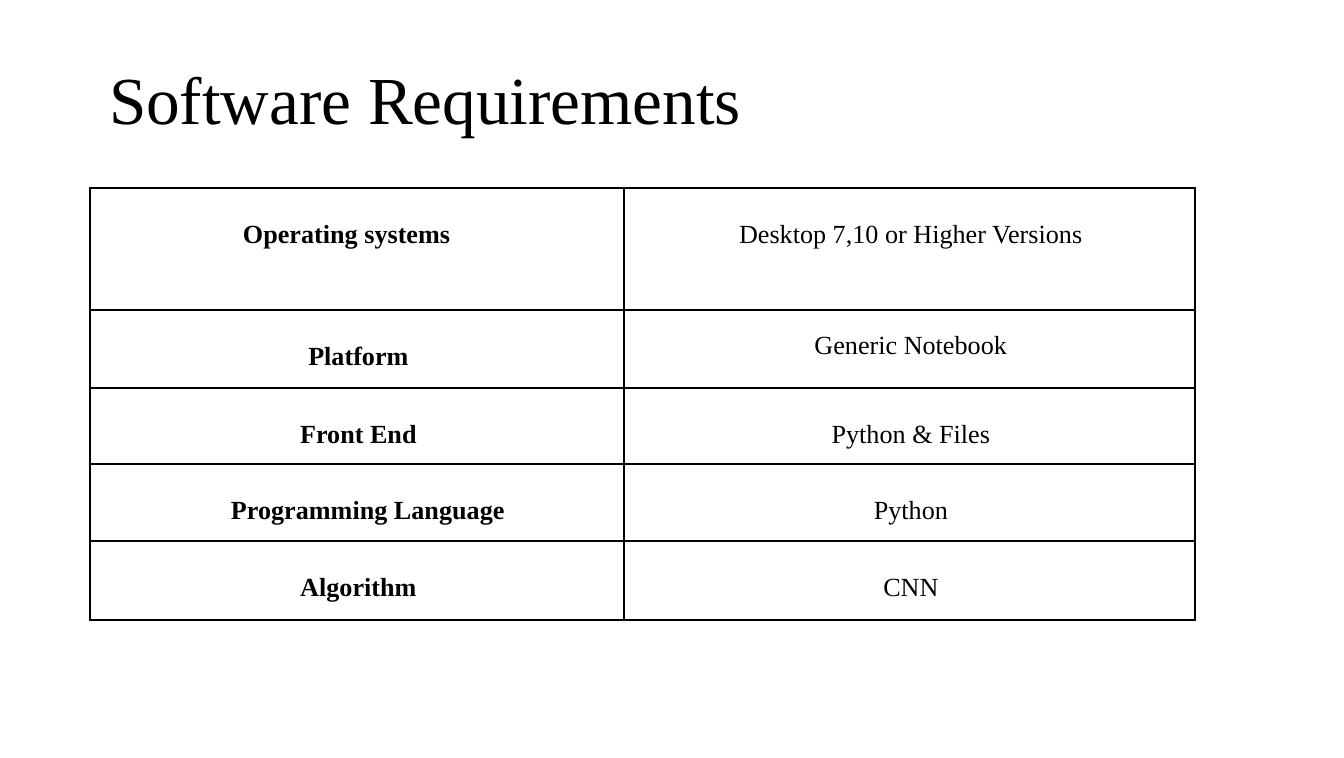
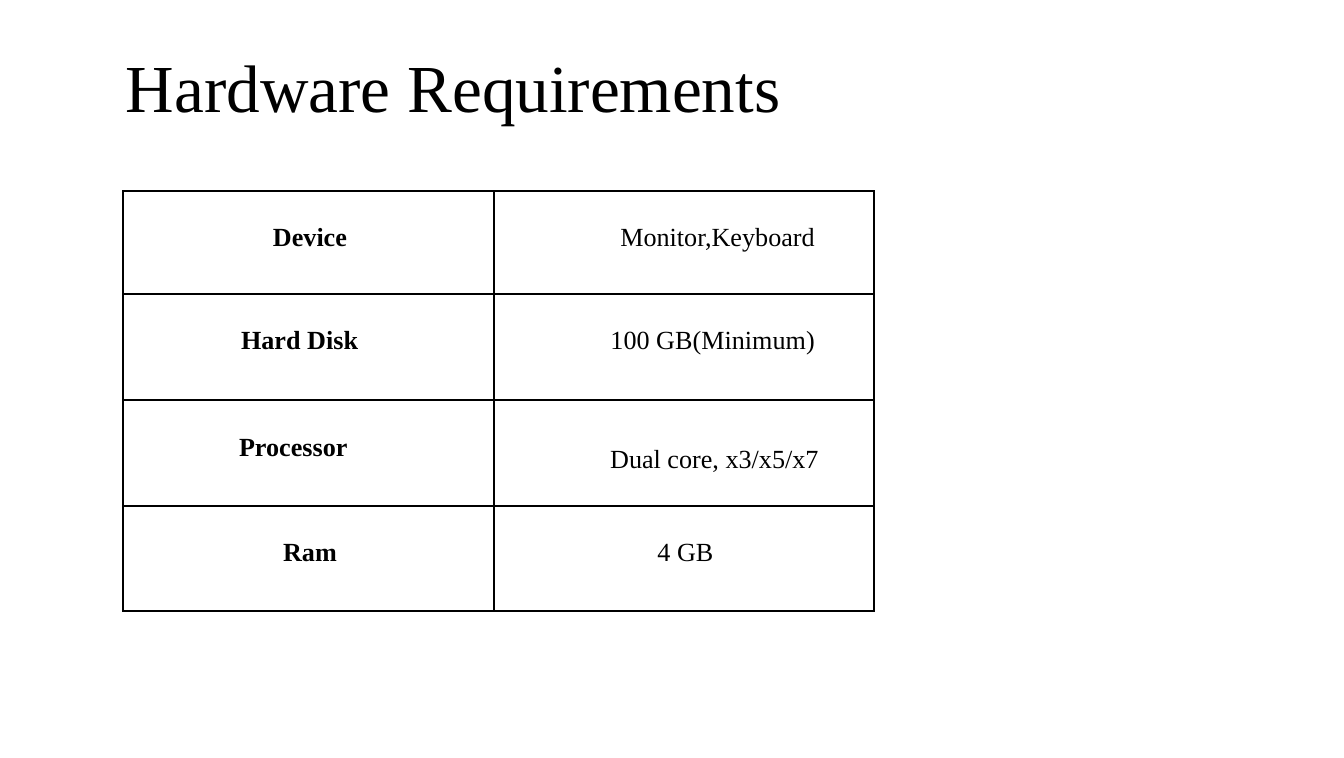
from dataclasses import dataclass

from lxml import etree
from pptx import Presentation
from pptx.dml.color import RGBColor
from pptx.enum.text import MSO_ANCHOR, MSO_AUTO_SIZE, PP_ALIGN
from pptx.oxml.ns import qn
from pptx.util import Pt

LEFT, CENTER, RIGHT = PP_ALIGN.LEFT, PP_ALIGN.CENTER, PP_ALIGN.RIGHT
MIDDLE, TOP = MSO_ANCHOR.MIDDLE, MSO_ANCHOR.TOP
NO_AUTOFIT = MSO_AUTO_SIZE.NONE

# Shared look
EMU_PER_PX = 914400 / 134.4
SLIDE_WIDTH, SLIDE_HEIGHT = 1344, 758
TITLE_ONLY_LAYOUT = 5
FONT = "Times New Roman"
TITLE_SIZE, CELL_SIZE, LINE_SPACING = 36, 14, 16.2
BORDER, THIN_BORDER = 1, 0.75
COLORS = {"text": "000000", "border": "000000", "cell": "FFFFFF"}


@dataclass
class Entry:
    """Text of one table cell; insets in px, thin lists the finer sides."""
    text: str
    align: int = CENTER
    left: int = 3
    top: int = 31
    right: int = 0
    thin: str = ""


SOFTWARE_ROWS = [
    (Entry("Operating systems", LEFT, left=153, thin="R"),
     Entry("Desktop 7,10 or Higher Versions", thin="L")),
    (Entry("Platform"), Entry("Generic Notebook", top=20)),
    (Entry("Front End"), Entry("Python & Files")),
    (Entry("Programming Language", LEFT, left=141), Entry("Python")),
    (Entry("Algorithm"), Entry("CNN")),
]

HARDWARE_ROWS = [
    (Entry("Device"), Entry("Monitor,Keyboard", RIGHT, right=59)),
    (Entry("Hard Disk", LEFT, left=118),
     Entry("100 GB(Minimum)", RIGHT, right=59, thin="B")),
    (Entry("Processor", LEFT, left=116, top=32),
     Entry("Dual core, x3/x5/x7", RIGHT, top=44, right=55, thin="T")),
    (Entry("Ram"), Entry("4 GB")),
]


def px(length):
    return round(length * EMU_PER_PX)


def color(name):
    return RGBColor.from_string(COLORS[name])


def style_paragraph(paragraph, size, align, bold=False):
    paragraph.alignment = align
    paragraph.font.name = FONT
    paragraph.font.size = Pt(size)
    paragraph.font.bold = bold
    paragraph.font.color.rgb = color("text")


def add_title(slide, text, left, top, width, height):
    title = slide.shapes.title
    title.left, title.top = px(left), px(top)
    title.width, title.height = px(width), px(height)
    frame = title.text_frame
    frame.text = text
    frame.auto_size = NO_AUTOFIT
    frame.word_wrap = True
    frame.vertical_anchor = MIDDLE
    frame.margin_left = frame.margin_top = px(1)
    frame.margin_right = frame.margin_bottom = 0
    style_paragraph(frame.paragraphs[0], TITLE_SIZE, LEFT)


def add_borders(cell, thin_sides):
    properties = cell._tc.get_or_add_tcPr()
    for side in "LRTB":
        width = Pt(THIN_BORDER if side in thin_sides else BORDER)
        line = etree.SubElement(properties, qn(f"a:ln{side}"), w=str(width))
        fill = etree.SubElement(line, qn("a:solidFill"))
        etree.SubElement(fill, qn("a:srgbClr"), val=COLORS["border"])


def fill_cell(cell, entry, bold):
    cell.text = entry.text
    cell.vertical_anchor = TOP
    cell.margin_left, cell.margin_top = px(entry.left), px(entry.top)
    cell.margin_right, cell.margin_bottom = px(entry.right), 0
    paragraph = cell.text_frame.paragraphs[0]
    style_paragraph(paragraph, CELL_SIZE, entry.align, bold)
    paragraph.line_spacing = Pt(LINE_SPACING)
    add_borders(cell, entry.thin)
    cell.fill.solid()
    cell.fill.fore_color.rgb = color("cell")


def add_requirements_table(slide, rows, left, top, widths, heights):
    frame = slide.shapes.add_table(
        len(rows), len(widths), px(left), px(top), px(sum(widths)), px(sum(heights)))
    table = frame.table
    table.first_row = table.horz_banding = False
    for column, width in zip(table.columns, widths):
        column.width = px(width)
    for row, height in zip(table.rows, heights):
        row.height = px(height)
    for row_index, entries in enumerate(rows):
        for column_index, entry in enumerate(entries):
            fill_cell(table.cell(row_index, column_index), entry,
                      bold=column_index == 0)


def add_slide(presentation):
    return presentation.slides.add_slide(presentation.slide_layouts[TITLE_ONLY_LAYOUT])


def main():
    presentation = Presentation()
    presentation.slide_width = px(SLIDE_WIDTH)
    presentation.slide_height = px(SLIDE_HEIGHT)

    # Software
    slide = add_slide(presentation)
    add_title(slide, "Software Requirements", 108, 55, 784, 85)
    add_requirements_table(slide, SOFTWARE_ROWS, 90, 188,
                           widths=(534, 571), heights=(122, 78, 76, 77, 79))

    # Hardware
    slide = add_slide(presentation)
    add_title(slide, "Hardware Requirements", 125, 43, 1009, 85)
    add_requirements_table(slide, HARDWARE_ROWS, 123, 191,
                           widths=(371, 380), heights=(103, 106, 106, 105))

    presentation.save("out.pptx")


if __name__ == "__main__":
    main()
